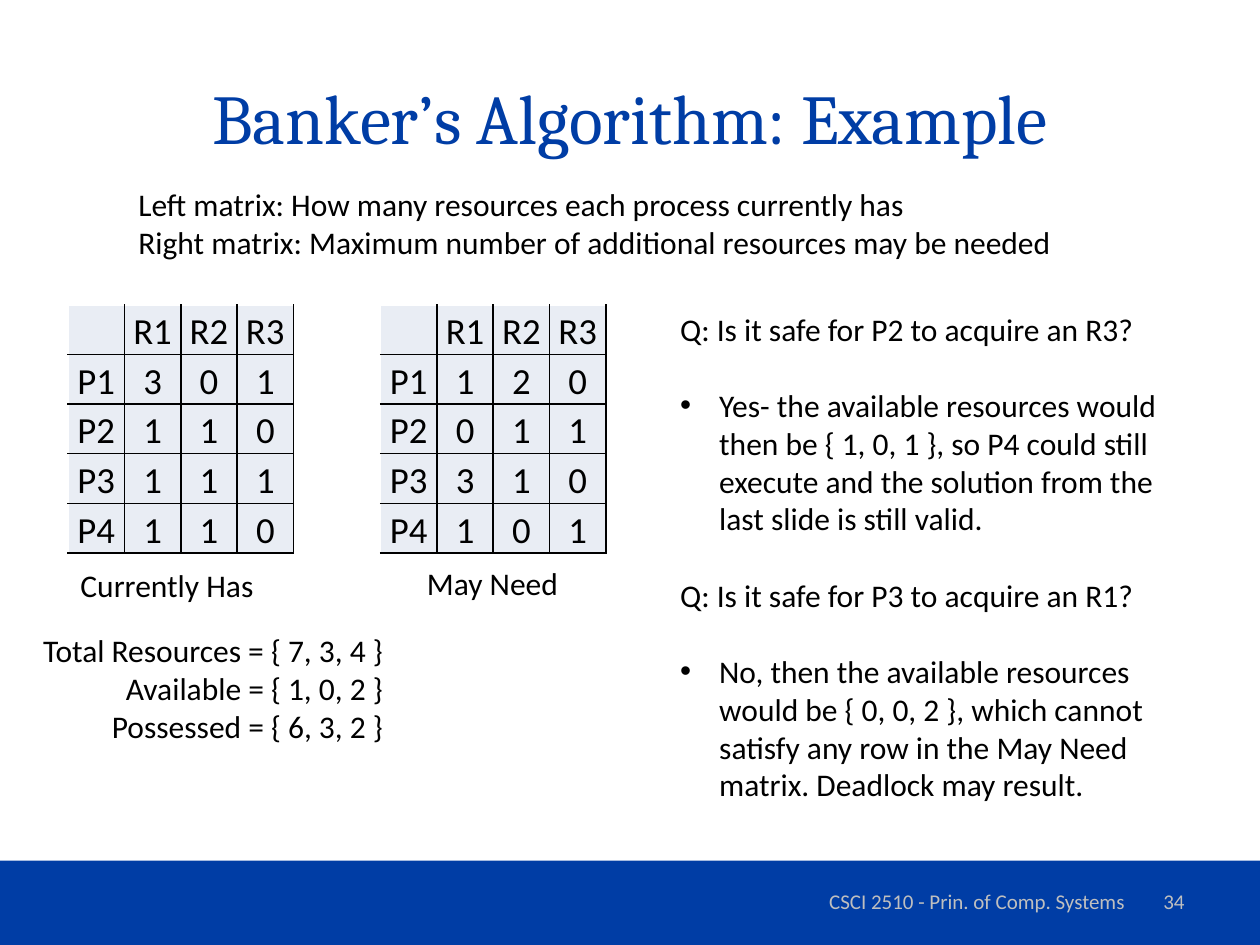
from lxml.etree import SubElement
from pptx import Presentation
from pptx.dml.color import RGBColor
from pptx.enum.shapes import MSO_SHAPE
from pptx.enum.text import MSO_ANCHOR, MSO_AUTO_SIZE, PP_ALIGN
from pptx.oxml.ns import qn
from pptx.util import Inches, Pt

BLUE, BLACK, WHITE = "003DA5", "000000", "FFFFFF"
GREY, CELL = "BFBFBF", "E9EDF4"
LEFT, CENTER, RIGHT = PP_ALIGN.LEFT, PP_ALIGN.CENTER, PP_ALIGN.RIGHT


def rgb(color):
    return RGBColor.from_string(color)


class SlideBuilder:
    font = "Calibri"
    body_size = 18
    table_size = 21

    def __init__(self, slide):
        self.slide = slide

    def format(self, p, size, color=BLACK, align=LEFT, font=None):
        p.alignment = align
        for r in p.runs:
            r.font.name = font or self.font
            r.font.size = Pt(size)
            r.font.color.rgb = rgb(color)

    def bar(self, x, y, w, h, color):
        sp = self.slide.shapes.add_shape(
            MSO_SHAPE.RECTANGLE, Inches(x), Inches(y), Inches(w), Inches(h))
        sp.shadow.inherit = False
        sp.fill.solid()
        sp.fill.fore_color.rgb = rgb(color)
        sp.line.fill.background()

    def box(self, x, y, w, h):
        sp = self.slide.shapes.add_textbox(
            Inches(x), Inches(y), Inches(w), Inches(h))
        return sp.text_frame

    def line(self, x, y, w, h, text, size, color, align, font=None):
        """Add a wrapped text, centred vertically in its box."""
        tf = self.box(x, y, w, h)
        tf.word_wrap = True
        tf.vertical_anchor = MSO_ANCHOR.MIDDLE
        tf.text = text
        self.format(tf.paragraphs[0], size, color, align, font)

    def body(self, x, y, w, h, text, align=LEFT):
        """Add black text in a box that grows with it."""
        tf = self.box(x, y, w, h)
        tf.word_wrap = False
        tf.auto_size = MSO_AUTO_SIZE.SHAPE_TO_FIT_TEXT
        tf.text = text
        for p in tf.paragraphs:
            self.format(p, self.body_size, align=align)
        return tf

    def questions(self, x, y, w, h, pairs):
        """Add questions, each followed by its bulleted answer."""
        texts = [text for pair in pairs for text in pair]
        tf = self.body(x, y, w, h, "\n".join(texts))
        for i, p in enumerate(tf.paragraphs):
            if i:
                p.space_before = Pt(22)
            if i % 2:
                pPr = p._p.get_or_add_pPr()
                pPr.set("marL", str(Inches(0.31)))
                pPr.set("indent", str(-Inches(0.31)))
                SubElement(pPr, qn("a:buFont"), typeface="Arial")
                SubElement(pPr, qn("a:buChar"), char="•")

    def border(self, cell, side, color):
        ln = SubElement(cell._tc.get_or_add_tcPr(), qn(f"a:ln{side}"),
                        w=str(Pt(1)))
        fill = SubElement(ln, qn("a:solidFill"))
        SubElement(fill, qn("a:srgbClr"), val=color)

    def matrix(self, x, y, w, h, values):
        """Add a table of processes (rows) by resources (columns)."""
        header = [""] + [f"R{n}" for n in range(1, len(values[0]) + 1)]
        rows = [header] + [[f"P{n}", *row] for n, row in enumerate(values, 1)]
        table = self.slide.shapes.add_table(
            len(rows), len(header), Inches(x), Inches(y),
            Inches(w), Inches(h)).table
        table.first_row = table.horz_banding = False
        for i, row in enumerate(rows):
            for j, value in enumerate(row):
                cell = table.cell(i, j)
                cell.text = str(value)
                cell.vertical_anchor = MSO_ANCHOR.BOTTOM
                cell.margin_left = cell.margin_right = Inches(0.02)
                cell.margin_top, cell.margin_bottom = Inches(0.02), 0
                self.format(cell.text_frame.paragraphs[0], self.table_size,
                            align=CENTER)
                self.border(cell, "L", BLACK if j else WHITE)
                self.border(cell, "R", BLACK)
                self.border(cell, "T", BLACK if i else WHITE)
                self.border(cell, "B", BLACK)
                cell.fill.solid()
                cell.fill.fore_color.rgb = rgb(CELL)


def main():
    prs = Presentation()
    prs.slide_width, prs.slide_height = Inches(10), Inches(7.5)
    s = SlideBuilder(prs.slides.add_slide(prs.slide_layouts[6]))

    s.bar(0, 6.83, 10, 0.67, BLUE)
    s.line(0.5, 0.3, 9, 1.25, "Banker’s Algorithm: Example", 40, BLUE,
           CENTER, "Cambria")
    s.line(6.17, 6.95, 3.17, 0.4, "CSCI 2510 - Prin. of Comp. Systems", 12,
           GREY, CENTER)
    s.line(7.17, 6.95, 2.33, 0.4, "34", 12, GREY, RIGHT)

    s.body(0.54, 4.44, 1.59, 0.4, "Currently Has")
    s.body(3.29, 4.43, 1.25, 0.4, "May Need")
    s.body(1, 1.42, 7.53, 0.71,
           "Left matrix: How many resources each process currently has\n"
           "Right matrix: Maximum number of additional resources may be needed")
    s.body(0.21, 4.96, 2.93, 1.01,
           "Total Resources = { 7, 3, 4 }\n"
           "Available = { 1, 0, 2 }\n"
           "Possessed = { 6, 3, 2 }", RIGHT)

    currently_has = [(3, 0, 1), (1, 1, 0), (1, 1, 1), (1, 1, 0)]
    may_need = [(1, 2, 0), (0, 1, 1), (3, 1, 0), (1, 0, 1)]
    for x, values in ((0.54, currently_has), (3.02, may_need)):
        s.matrix(x, 2.42, 1.79, 1.97, values)

    s.questions(5.3, 2.41, 4.03, 4.34, [
        ("Q: Is it safe for P2 to acquire an R3?",
         "Yes- the available resources would\v"
         "then be { 1, 0, 1 }, so P4 could still\v"
         "execute and the solution from the\v"
         "last slide is still valid."),
        ("Q: Is it safe for P3 to acquire an R1?",
         "No, then the available resources\v"
         "would be { 0, 0, 2 }, which cannot\v"
         "satisfy any row in the May Need\v"
         "matrix. Deadlock may result."),
    ])
    prs.save("out.pptx")


if __name__ == "__main__":
    main()
